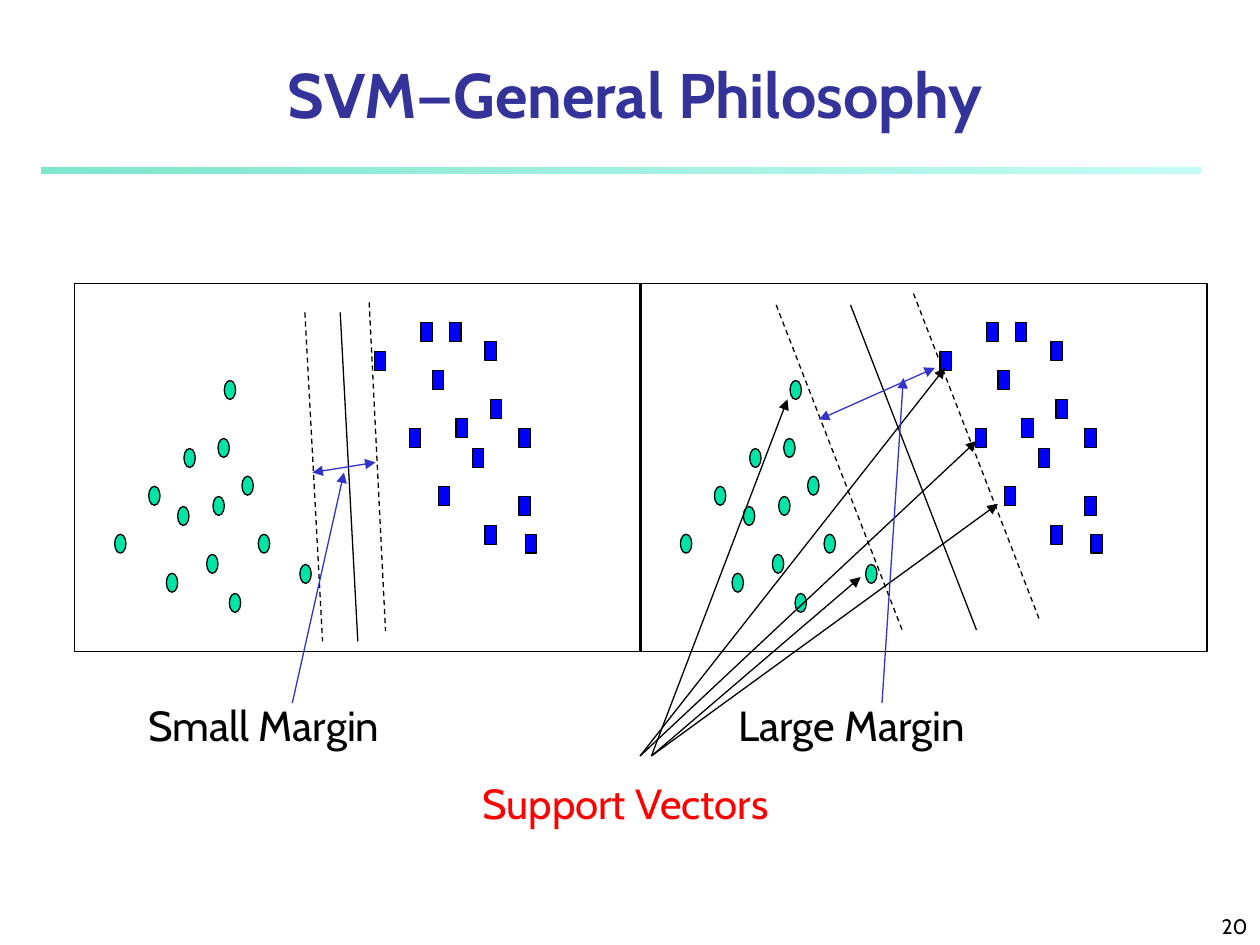
import pptx
import pptx.util
import pptx.dml.color
import pptx.enum.dml
import pptx.enum.shapes
import pptx.enum.text
import pptx.oxml.ns
import lxml.etree

RGB = pptx.dml.color.RGBColor
SHAPE = pptx.enum.shapes.MSO_SHAPE
ALIGN = pptx.enum.text.PP_ALIGN
ANCHOR = pptx.enum.text.MSO_ANCHOR
qn = pptx.oxml.ns.qn

BLACK = RGB(0x00, 0x00, 0x00)
RED = RGB(0xFF, 0x00, 0x00)
NAVY = RGB(0x33, 0x33, 0x99)
ARROW_BLUE = RGB(0x33, 0x33, 0xCC)
SQUARE_BLUE = RGB(0x00, 0x00, 0xFF)
DOT_GREEN = RGB(0x00, 0xE4, 0xA8)
BAR_START = RGB(0x00, 0xCE, 0x98)
BAR_END = RGB(0x8F, 0xF9, 0xEF)

FONT = "Cabin"
EMU_PER_PX = 9144  # 100 px to the inch


def px(n):
    return pptx.util.Emu(n * EMU_PER_PX)


class Deck:
    """Holds the style, the current slide and the container being filled."""

    def __init__(self, width, height):
        self.prs = pptx.Presentation()
        self.prs.slide_width, self.prs.slide_height = px(width), px(height)

    def add_slide(self):
        self.s = self.prs.slides.add_slide(self.prs.slide_layouts[5])
        self.shapes = self.s.shapes

    def group(self):
        self.shapes = self.s.shapes.add_group_shape().shapes

    def set_text(self, sp, text, size, color, align, anchor, bold=False):
        tf = sp.text_frame
        tf.word_wrap = True
        tf.auto_size = pptx.enum.text.MSO_AUTO_SIZE.NONE
        tf.vertical_anchor = anchor
        tf.text = text
        p = tf.paragraphs[0]
        p.alignment = align
        font = p.runs[0].font
        font.name, font.size, font.bold = FONT, pptx.util.Pt(size), bold
        font.color.rgb = color

    def title(self, text, x, y, w, h):
        sp = self.s.shapes.title
        sp.left, sp.top, sp.width, sp.height = px(x), px(y), px(w), px(h)
        self.set_text(sp, text, 36, NAVY, ALIGN.CENTER, ANCHOR.BOTTOM, bold=True)

    def text(self, text, x, y, w, h, size=24, color=BLACK,
             align=ALIGN.LEFT, anchor=ANCHOR.TOP):
        sp = self.shapes.add_textbox(px(x), px(y), px(w), px(h))
        self.set_text(sp, text, size, color, align, anchor)

    def shape(self, kind, x, y, w, h, fill=None):
        sp = self.shapes.add_shape(kind, px(x), px(y), px(w), px(h))
        sp.shadow.inherit = False
        if fill is None:
            sp.fill.background()
        else:
            sp.fill.solid()
            sp.fill.fore_color.rgb = fill
        sp.line.color.rgb = BLACK
        sp.line.width = pptx.util.Pt(0.75)
        return sp

    def gradient_bar(self, x, y, w, h, colors, alphas):
        sp = self.shape(SHAPE.RECTANGLE, x, y, w, h)
        sp.line.fill.background()
        sp.fill.gradient()
        sp.fill.gradient_angle = 0
        for stop, color in zip(sp.fill.gradient_stops, colors):
            stop.color.rgb = color
        for clr, alpha in zip(sp._element.spPr.iter(qn("a:srgbClr")), alphas):
            lxml.etree.SubElement(clr, qn("a:alpha"), val=str(alpha * 1000))

    def line(self, x1, y1, x2, y2, color=BLACK, dashed=False, ends=()):
        c = self.shapes.add_connector(pptx.enum.shapes.MSO_CONNECTOR.STRAIGHT,
                                      px(x1), px(y1), px(x2), px(y2))
        c.line.color.rgb = color
        c.line.width = pptx.util.Pt(0.75)
        if dashed:
            c.line.dash_style = pptx.enum.dml.MSO_LINE.DASH
        ln = c._element.spPr.find(qn("a:ln"))
        for end in ends:
            lxml.etree.SubElement(ln, qn("a:" + end), type="triangle")
        lxml.etree.SubElement(c._element.spPr, qn("a:effectLst"))


# Sample points, measured from the top left corner of a panel
PANEL_Y, PANEL_W, PANEL_H = 225, 450, 292
MARK_W, MARK_H = 9, 15
DOTS = [(73, 230), (82, 177), (32, 199), (59, 161), (105, 215), (87, 131),
        (110, 169), (114, 123), (133, 153), (146, 199), (123, 246),
        (179, 223), (119, 77)]
SQUARES = [(266, 115), (238, 54), (275, 31), (289, 161), (284, 69), (303, 107),
           (298, 31), (326, 46), (316, 131), (330, 92), (326, 192), (353, 115),
           (353, 169), (358, 199)]


def panel(deck, left, boundary, margins):
    """Both classes of points, the frame, the boundary and its two margins."""
    deck.group()
    for kind, fill, points in ((SHAPE.OVAL, DOT_GREEN, DOTS),
                               (SHAPE.RECTANGLE, SQUARE_BLUE, SQUARES)):
        for x, y in points:
            deck.shape(kind, left + x, PANEL_Y + y, MARK_W, MARK_H, fill)
    deck.shape(SHAPE.RECTANGLE, left, PANEL_Y, PANEL_W, PANEL_H)
    for margin in margins:
        deck.line(*margin, dashed=True)
    deck.line(*boundary)


def margin_label(deck, text, x, w, span, pointer):
    """Caption, double arrow across the margin and arrow from the caption."""
    deck.group()
    deck.text(text, x, 550, w, 50)
    deck.line(*span, color=ARROW_BLUE, ends=("headEnd", "tailEnd"))
    deck.line(*pointer, color=ARROW_BLUE, ends=("tailEnd",))


def main():
    deck = Deck(1000, 750)
    deck.add_slide()

    # Title, rule and slide number
    deck.title("SVM—General Philosophy", 33, 42, 942, 67)
    deck.gradient_bar(33, 133, 920, 5, (BAR_START, BAR_END), (50, 52))
    deck.text("20", 792, 708, 208, 42, size=12, align=ALIGN.RIGHT,
              anchor=ANCHOR.BOTTOM)

    # Two panels: a narrow and a wide separation
    panel(deck, 59, (270, 248, 284, 509),
          [(293, 240, 306, 501), (242, 248, 256, 509)])
    panel(deck, 508, (675, 242, 775, 500),
          [(616, 242, 716, 500), (725, 233, 825, 492)])

    # Support vectors, with an arrow to each
    deck.group()
    deck.text("Support Vectors", 373, 612, 271, 50, color=RED)
    for start, x, y in ((508, 750, 292), (508, 775, 350), (517, 792, 400),
                        (517, 683, 458), (517, 625, 317)):
        deck.line(start, 600, x, y, ends=("tailEnd",))

    # Margin captions
    margin_label(deck, "Small Margin", 108, 226, (248, 375, 298, 367),
                 (232, 558, 273, 375))
    margin_label(deck, "Large Margin", 576, 230, (650, 333, 742, 292),
                 (700, 558, 717, 300))

    deck.prs.save("out.pptx")


if __name__ == "__main__":
    main()
